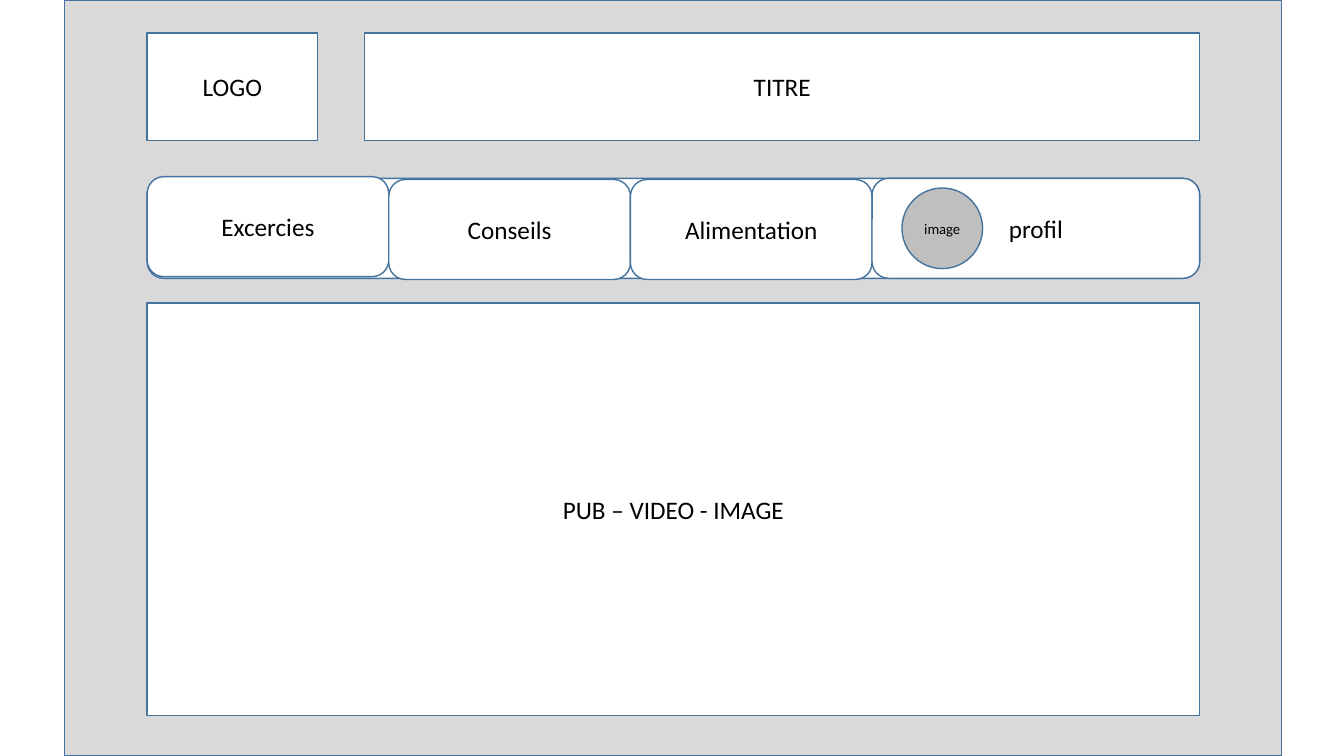
from pptx import Presentation
from pptx.dml.color import RGBColor
from pptx.enum.shapes import MSO_SHAPE
from pptx.enum.text import MSO_ANCHOR, PP_ALIGN
from pptx.util import Pt

COLORS = {
    "page": "D9D9D9",
    "panel": "FFFFFF",
    "avatar": "BFBFBF",
    "line": "43739E",
    "text": "000000",
}
FONT = "Calibri"


def add_box(s, kind, x, y, w, h, text="", fill="panel", size=18):
    sp = s.shapes.add_shape(kind, Pt(x), Pt(y), Pt(w), Pt(h))
    sp.shadow.inherit = False
    sp.fill.solid()
    sp.fill.fore_color.rgb = RGBColor.from_string(COLORS[fill])
    sp.line.color.rgb = RGBColor.from_string(COLORS["line"])
    sp.line.width = Pt(1)
    if text:
        tf = sp.text_frame
        tf.word_wrap = True
        tf.vertical_anchor = MSO_ANCHOR.MIDDLE
        p = tf.paragraphs[0]
        p.alignment = PP_ALIGN.CENTER
        r = p.add_run()
        r.text = text
        r.font.name = FONT
        r.font.size = Pt(size)
        r.font.color.rgb = RGBColor.from_string(COLORS["text"])
    return sp


def add_header(s, x, y, w, h):
    logo_w, gap = 121.7, 33.8
    title_x = logo_w + gap
    add_box(s, MSO_SHAPE.RECTANGLE, x, y, logo_w, h, "LOGO")
    add_box(s, MSO_SHAPE.RECTANGLE, x + title_x, y, w - title_x, h, "TITRE")


def add_profile(s, x, y, w, h):
    add_box(s, MSO_SHAPE.ROUNDED_RECTANGLE, x, y, w, h, "profil")
    d = 57.6
    avatar = add_box(s, MSO_SHAPE.OVAL, x + 21.4, y + (h - d) / 2, d, d,
                     "image", "avatar", 10.5)
    tf = avatar.text_frame
    tf.margin_left = tf.margin_right = Pt(0)


def add_navigation(s, x, y, w, h):
    tab_w = 172.6
    tabs = [("Excercies", -1.2), ("Conseils", 0.8), ("Alimentation", 0.8)]
    tabs_w = tab_w * len(tabs)
    add_box(s, MSO_SHAPE.ROUNDED_RECTANGLE, x, y, w, h)
    for i, (label, dy) in enumerate(tabs):
        add_box(s, MSO_SHAPE.ROUNDED_RECTANGLE, x + i * tab_w, y + dy, tab_w, h, label)
    add_profile(s, x + tabs_w, y, w - tabs_w, h)


def add_media(s, x, y, w, h):
    add_box(s, MSO_SHAPE.RECTANGLE, x, y, w, h, "PUB – VIDEO - IMAGE")


def add_wireframe(s, x, y, w, h):
    add_box(s, MSO_SHAPE.RECTANGLE, x, y, w, h, fill="page")
    left, inner_w = x + 58.8, 751.8
    add_media(s, left, y + 216.6, inner_w, 294.4)
    add_header(s, left, y + 23.6, inner_w, 77)
    add_navigation(s, left, y + 127.4, inner_w, 71.4)


def main():
    prs = Presentation()
    prs.slide_width, prs.slide_height = Pt(960), Pt(540)
    s = prs.slides.add_slide(prs.slide_layouts[6])
    add_wireframe(s, 46.3, 0, 869, 540)
    prs.save("out.pptx")


if __name__ == "__main__":
    main()
